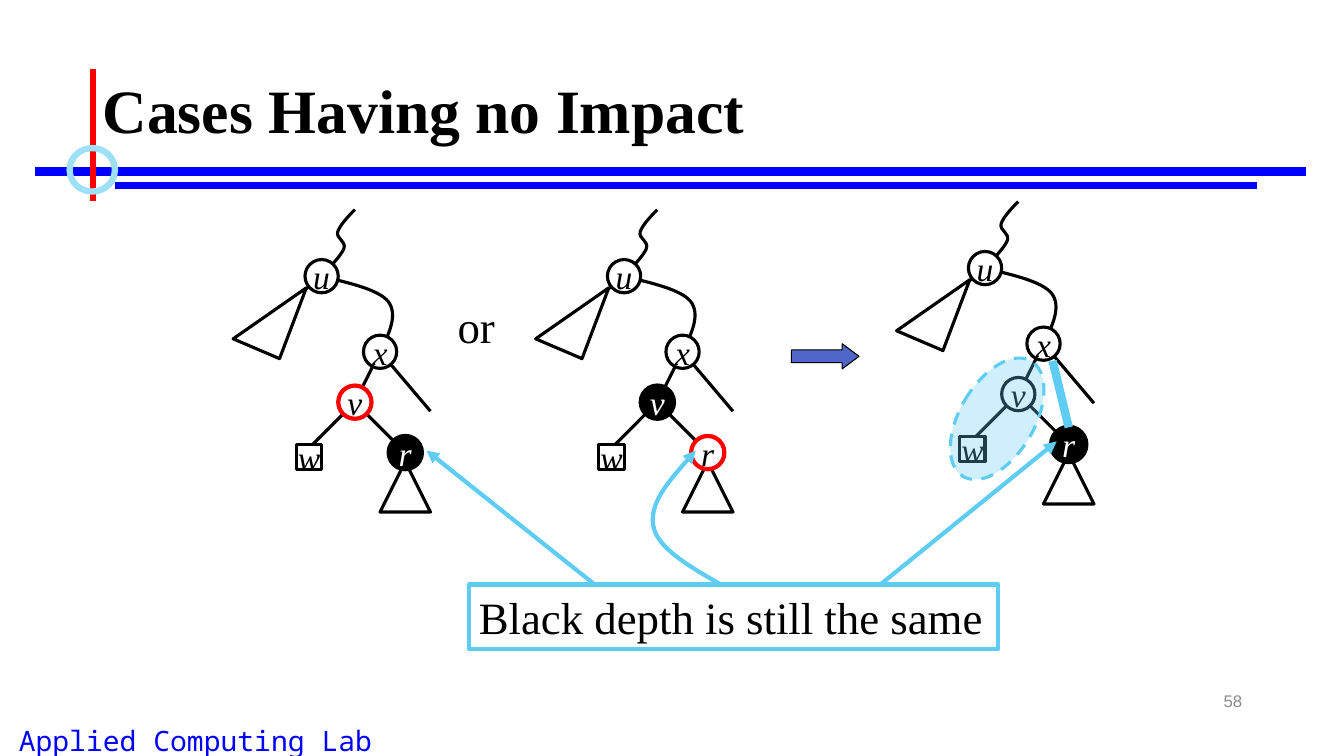
from pptx import Presentation
from pptx.dml.color import RGBColor
from pptx.enum.dml import MSO_LINE
from pptx.enum.shapes import MSO_CONNECTOR, MSO_SHAPE as SHAPE
from pptx.enum.text import MSO_ANCHOR as ANCHOR, PP_ALIGN as ALIGN
from pptx.oxml.ns import qn
from pptx.util import Inches, Pt
from lxml import etree

COLORS = {"black": "000000", "white": "FFFFFF", "red": "FF0000", "blue": "0000FF",
          "ring": "9EE0F8", "sky": "5ECCF3", "arrow": "4E67C8", "gray": "8C8C8C"}
SERIF = "Times New Roman"
NODE, LEAF = 0.33, 0.25

# Tree geometry, given for the first tree; the others are shifted
NODES = {"u": (3.19, 2.74), "x": (3.77, 3.49), "v": (3.52, 3.99), "r": (4.02, 4.49)}
W_TOP = (3.1, 4.41)
EDGES = [(NODES["x"], (4.27, 4.08)), (NODES["u"], (2.77, 3.08)),
         (NODES["v"], NODES["r"]), (NODES["x"], NODES["v"]), (NODES["v"], W_TOP)]
ROOT_CURVE = [(3.52, 2.08), (3.44, 2.16), (3.37, 2.24), (3.35, 2.3),
              (3.33, 2.37), (3.44, 2.39), (3.41, 2.47),
              (3.38, 2.54), (3.28, 2.64), (3.19, 2.74)]
U_X_CURVE = [(3.19, 2.74), (3.47, 2.81), (3.75, 2.87), (3.85, 2.99),
             (3.95, 3.12), (3.86, 3.31), (3.77, 3.49)]
CALLOUT_CURVE = [(7.15, 5.8), (6.84, 5.62), (6.52, 5.44), (6.48, 5.22),
                 (6.44, 4.99), (6.67, 4.73), (6.9, 4.47)]

# Shift, node styles that differ (fill, line colour, width), ringed node
PLAIN = ("white", "black", 2.25)
TREES = [
    (0, 0, {"r": ("black", "black", 3)}, ("v", "red", 3)),
    (3, 0, {"v": ("black", "black", 3), "r": ("white", "red", 3)}, None),
    (6.58, -0.08, {"r": ("black", "black", 2.25)}, ("r", "black", 4.5)),
]
RULES = [((0.35, 1.7), (12.95, 1.7), "blue", 6),
         ((1.14, 1.84), (12.47, 1.84), "blue", 4.5),
         ((0.92, 0.68), (0.92, 1.99), "red", 4.5)]
POINTERS = [((5.9, 5.8), (4.23, 4.47)), ((8.73, 5.8), (10.48, 4.38))]

prs = Presentation()
prs.slide_width, prs.slide_height = Inches(13.33), Inches(7.5)
s = prs.slides.add_slide(prs.slide_layouts[6])


def rgb(name):
    return RGBColor.from_string(COLORS[name])


def style_line(sp, color, width, arrow=False):
    sp.line.color.rgb = rgb(color)
    sp.line.width = Pt(width)
    if arrow:
        ln = sp._element.spPr.find(qn("a:ln"))
        etree.SubElement(ln, qn("a:tailEnd"), type="triangle")


def paint(sp, fill, color, width, arrow=False):
    sp.shadow.inherit = False
    if fill:
        sp.fill.solid()
        sp.fill.fore_color.rgb = rgb(fill)
    else:
        sp.fill.background()
    style_line(sp, color, width, arrow)


def add_line(shapes, start, end, color, width, arrow=False):
    c = shapes.add_connector(MSO_CONNECTOR.STRAIGHT, *map(Inches, (*start, *end)))
    style_line(c, color, width, arrow)
    etree.SubElement(c._element.spPr, qn("a:effectLst"))


def add_shape(shapes, kind, box, fill, color, width, rotation=0, adjust=()):
    sp = shapes.add_shape(kind, *map(Inches, box))
    paint(sp, fill, color, width)
    sp.rotation = rotation
    for i, value in enumerate(adjust):
        sp.adjustments[i] = value
    return sp


def add_curve(shapes, points, fill, color, width, arrow=False):
    """Draw a chain of cubic Bezier segments: a start, then three points for each."""
    start, *rest = [(Inches(x), Inches(y)) for x, y in points]
    fb = shapes.build_freeform(*start)
    fb.add_line_segments(rest, close=False)
    sp = fb.convert_to_shape()
    segments = list(sp._element.iter(qn("a:lnTo")))
    for i in range(0, len(segments), 3):
        first, *others = segments[i:i + 3]
        first.tag = qn("a:cubicBezTo")
        for other in others:
            first.append(other[0])
            other.getparent().remove(other)
    paint(sp, fill, color, width, arrow)


def write(sp, text, size, color="black", font=SERIF, align=ALIGN.LEFT,
          anchor=ANCHOR.TOP, wrap=False, bold=False, italic=False):
    tf = sp.text_frame
    tf.word_wrap = wrap
    tf.vertical_anchor = anchor
    p = tf.paragraphs[0]
    p.text = text
    p.alignment = align
    p.font.name, p.font.size = font, Pt(size)
    p.font.bold, p.font.italic = bold, italic
    p.font.color.rgb = rgb(color)
    return p


def add_text(box, text, size, **style):
    return write(s.shapes.add_textbox(*map(Inches, box)), text, size, **style)


def label(sp, name, fill):
    write(sp, name, 24, color="white" if fill == "black" else "black",
          align=ALIGN.CENTER, anchor=ANCHOR.MIDDLE, italic=True)


def add_tree(dx, dy, styles, ring):
    """Draw one tree as a group and return the group's shapes."""
    shapes = s.shapes.add_group_shape().shapes

    def move(points):
        return [(x + dx, y + dy) for x, y in points]

    def node_box(name):
        x, y = NODES[name]
        return x + dx - NODE / 2, y + dy - NODE / 2, NODE, NODE

    for edge in EDGES:
        add_line(shapes, *move(edge), "black", 2.25)
    for curve in (ROOT_CURVE, U_X_CURVE):
        add_curve(shapes, move(curve), *PLAIN)
    leaf = add_shape(shapes, SHAPE.RECTANGLE, (2.94 + dx, 4.41 + dy, LEAF, LEAF), *PLAIN)
    label(leaf, "w", "white")
    add_shape(shapes, SHAPE.ISOSCELES_TRIANGLE, (3.77 + dx, 4.58 + dy, 0.5, 0.5), *PLAIN)
    for name in NODES:
        look = styles.get(name, PLAIN)
        label(add_shape(shapes, SHAPE.OVAL, node_box(name), *look), name, look[0])
    add_shape(shapes, SHAPE.ISOSCELES_TRIANGLE, (2.44 + dx, 2.74 + dy, 0.5, 0.75),
              *PLAIN, rotation=23.1, adjust=[0.938])
    if ring:
        name, color, width = ring
        add_shape(shapes, SHAPE.OVAL, node_box(name), None, color, width)
    return shapes


# Frame and title
add_text((-0.58, 7.13, 5.04, 0.43), "Applied Computing Lab", 20, color="blue",
         font="Noto Sans Mono", align=ALIGN.CENTER, wrap=True)
for rule in RULES:
    add_line(s.shapes, *rule)
add_shape(s.shapes, SHAPE.OVAL, (0.69, 1.47, 0.45, 0.43), None, "ring", 4.5)
add_text((9.42, 6.75, 3, 0.4), "58", 12, color="gray", font="Arial",
         align=ALIGN.RIGHT, anchor=ANCHOR.MIDDLE, wrap=True)
title = add_text((0.92, 0.4, 11.5, 1.45), "Cases Having no Impact", 44,
                 anchor=ANCHOR.MIDDLE, wrap=True, bold=True)
title.line_spacing = 0.9

# Trees, with the removed pair and the new edge in the last one
groups = [add_tree(*tree) for tree in TREES]
after = groups[-1]
removed = add_shape(after, SHAPE.OVAL, (9.52, 3.49, 0.74, 1.33), "sky", "sky", 2.25,
                    rotation=30.5)
removed.line.dash_style = MSO_LINE.DASH
tint = removed._element.spPr.find(qn("a:solidFill")).find(qn("a:srgbClr"))
etree.SubElement(tint, qn("a:alpha"), val="30000")
add_line(after, (10.44, 3.58), (10.6, 4.24), "sky", 6)
add_shape(after, SHAPE.RIGHT_ARROW, (7.85, 3.41, 0.67, 0.25), "arrow", "black", 0.75,
          adjust=[0.5, 0.667])
add_text((4.44, 2.91, 0.57, 0.63), "or", 32)

# Callout
callout = s.shapes.add_group_shape().shapes
note = add_shape(callout, SHAPE.RECTANGLE, (4.65, 5.8, 5.25, 0.64), None, "sky", 3)
write(note, "Black depth is still the same", 32)
for start, end in POINTERS:
    add_line(callout, start, end, "sky", 3, arrow=True)
add_curve(callout, CALLOUT_CURVE, None, "sky", 3, arrow=True)

prs.save("out.pptx")
